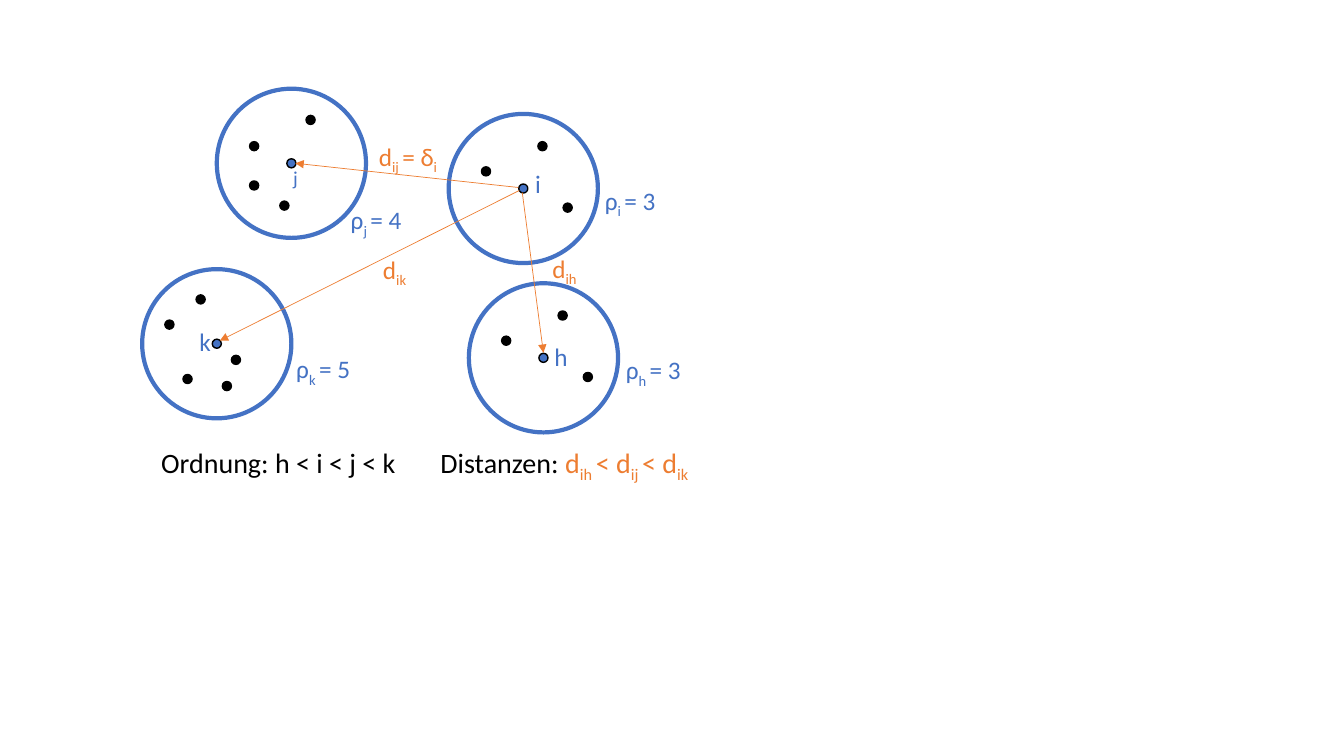
"""Build the slide on density clusters and their distances."""
from dataclasses import dataclass

from lxml.etree import SubElement
from pptx import Presentation
from pptx.dml.color import RGBColor
from pptx.enum.shapes import MSO_CONNECTOR, MSO_SHAPE
from pptx.enum.text import MSO_AUTO_SIZE
from pptx.oxml.ns import qn
from pptx.util import Inches, Pt


@dataclass(frozen=True)
class Theme:
    """Colours, font and sizes of the slide."""
    blue: RGBColor = RGBColor(0x44, 0x72, 0xC4)
    orange: RGBColor = RGBColor(0xED, 0x7D, 0x31)
    black: RGBColor = RGBColor(0, 0, 0)
    font: str = "Calibri"
    small: int = 14
    label: int = 18
    large: int = 20
    ring: float = 1.48
    dot: float = 0.09


def term(color, *parts):
    """Return runs that alternate between base and subscript."""
    return [(part, color, i % 2 == 1) for i, part in enumerate(parts)]


class Board:
    """Draw styled elements on the current slide."""

    def __init__(self, slide, theme):
        """Keep the slide and its theme."""
        self.slide = slide
        self.theme = theme

    def disc(self, x, y, size, line, width, fill=None):
        """Draw a circle around a centre point."""
        disc = self.slide.shapes.add_shape(
            MSO_SHAPE.OVAL, Inches(x - size / 2), Inches(y - size / 2),
            Inches(size), Inches(size))
        disc.shadow.inherit = False
        disc.line.color.rgb = line
        disc.line.width = Pt(width)
        if fill is None:
            disc.fill.background()
        else:
            disc.fill.solid()
            disc.fill.fore_color.rgb = fill

    def group(self, x, y, dots):
        """Draw a ring with its hub and the dots around it."""
        look = self.theme
        self.disc(x, y, look.ring, look.blue, 3)
        self.disc(x, y, look.dot, look.black, 1, look.blue)
        for dx, dy in dots:
            self.disc(x + dx, y + dy, look.dot, look.black, 1, look.black)

    def arrow(self, start, end):
        """Draw a thin arrow between two points."""
        line = self.slide.shapes.add_connector(
            MSO_CONNECTOR.STRAIGHT, *map(Inches, start + end))
        line.line.color.rgb = self.theme.orange
        line.line.width = Pt(0.5)
        SubElement(line.line._get_or_add_ln(), qn("a:tailEnd"), type="triangle")
        SubElement(line._element.spPr, qn("a:effectLst"))

    def text(self, box, size, runs, wrap=False):
        """Write runs of text in a box."""
        frame = self.slide.shapes.add_textbox(*map(Inches, box)).text_frame
        frame.word_wrap = wrap
        frame.auto_size = MSO_AUTO_SIZE.SHAPE_TO_FIT_TEXT
        for words, color, sub in runs:
            run = frame.paragraphs[0].add_run()
            run.text = words
            run.font.name = self.theme.font
            run.font.size = Pt(size)
            run.font.color.rgb = color
            if sub:
                run._r.get_or_add_rPr().set("baseline", "-25000")


def main():
    """Build and save the slide."""
    deck = Presentation()
    deck.slide_width, deck.slide_height = Inches(13.33), Inches(7.5)
    look = Theme()
    board = Board(deck.slides.add_slide(deck.slide_layouts[6]), look)

    trio = [(0.44, 0.19), (0.19, -0.42), (-0.37, -0.17)]
    groups = [
        (2.15, 3.41, [(-0.47, -0.19), (-0.29, 0.35), (0.19, 0.16),
                      (-0.16, -0.44), (0.1, 0.42)]),
        (2.89, 1.62, [(-0.07, 0.42), (0.19, -0.43), (-0.37, -0.17),
                      (-0.37, 0.22)]),
        (5.19, 1.87, trio),
        (5.39, 3.55, trio),
    ]
    for x, y, dots in groups:
        board.group(x, y, dots)

    for start, end in [((5.14, 1.86), (2.93, 1.62)),
                       ((5.15, 1.89), (2.18, 3.38)),
                       ((5.18, 1.91), (5.39, 3.5))]:
        board.arrow(start, end)

    names = [
        ("j", (2.81, 1.6, 0.25, 0.34), look.small),
        ("k", (1.88, 3.19, 0.32, 0.4), look.label),
        ("i", (5.21, 1.62, 0.26, 0.4), look.label),
        ("h", (5.4, 3.34, 0.34, 0.4), look.label),
    ]
    for name, box, size in names:
        board.text(box, size, term(look.blue, name))

    counts = [
        ("i", 3, (5.9, 1.79, 0.72, 0.4)),
        ("j", 4, (3.38, 1.98, 0.72, 0.4)),
        ("k", 5, (2.84, 3.46, 0.76, 0.4)),
        ("h", 3, (6.11, 3.47, 0.77, 0.4)),
    ]
    for name, count, box in counts:
        board.text(box, look.label,
                   term(look.blue, "ρ", f"{name} ", f"= {count}"))

    board.text((3.66, 1.35, 1.13, 0.71), look.label,
               term(look.orange, "d", "ij ", "= δ", "i"), wrap=True)
    board.text((3.7, 2.47, 0.45, 0.4), look.label, term(look.orange, "d", "ik"))
    board.text((5.38, 2.46, 0.46, 0.4), look.label, term(look.orange, "d", "ih"))

    board.text((1.5, 4.37, 2.55, 0.44), look.large,
               term(look.black, "Ordnung: h < i < j < k"))
    board.text((4.27, 4.37, 2.76, 0.44), look.large,
               term(look.black, "Distanzen: ")
               + term(look.orange, "d", "ih ", "< d", "ij ", "< d", "ik"),
               wrap=True)

    deck.save("out.pptx")


if __name__ == "__main__":
    main()
